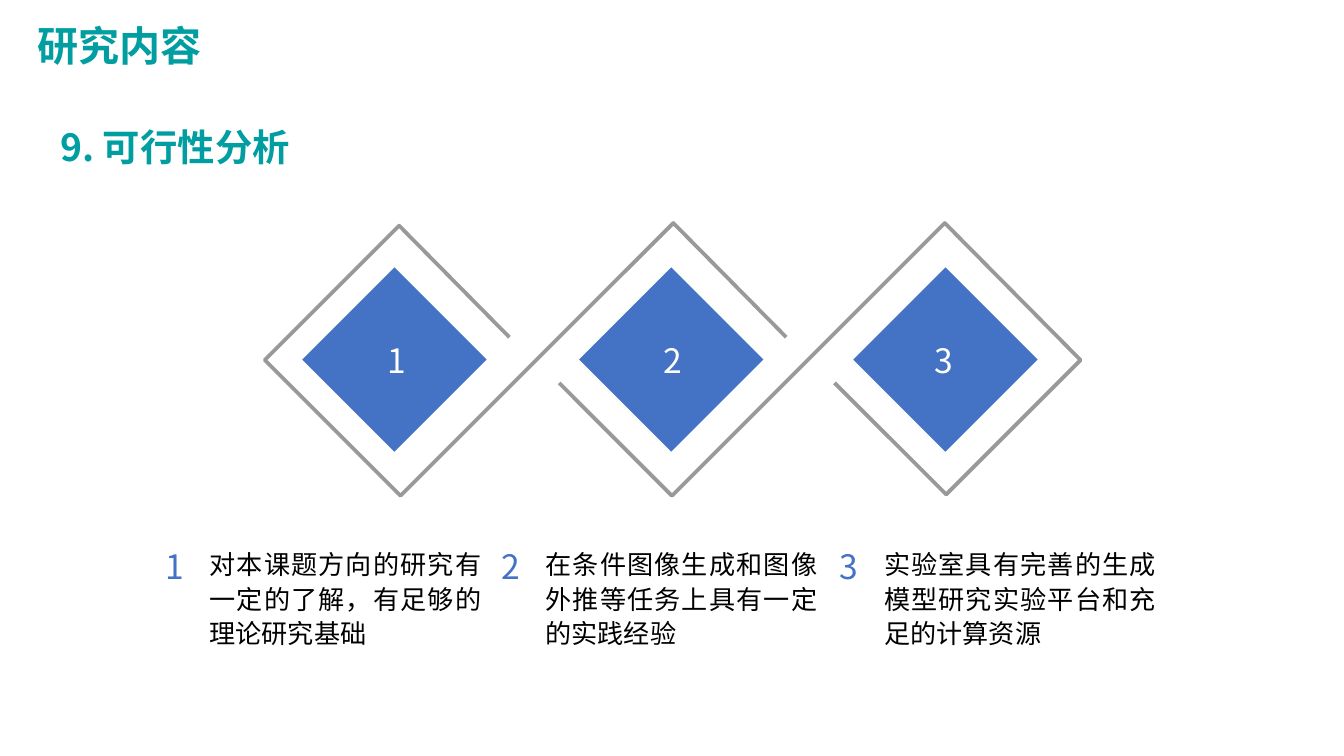
"""Build the feasibility analysis slide with three linked diamonds."""
import lxml.etree
import pptx
import pptx.dml.color
import pptx.enum.shapes
import pptx.enum.text
import pptx.oxml.ns
import pptx.util

Inches = pptx.util.Inches
Align = pptx.enum.text.PP_ALIGN
COLORS = {"teal": "009EA1", "blue": "4472C4", "gray": "999999", "white": "FFFFFF", "black": "000000"}
CJK_FONT = "Noto Sans CJK SC"

deck = pptx.Presentation()
deck.slide_width = Inches(10)
deck.slide_height = Inches(10 * 9 / 16)
page = deck.slides.add_slide(deck.slide_layouts[6])


def rgb(name):
    return pptx.dml.color.RGBColor.from_string(COLORS[name])


def add_text(text, *, left, top, width, height, size, color, font=CJK_FONT,
             bold=False, align=Align.LEFT, spacing=None, after=None, wrap=True):
    box = page.shapes.add_textbox(Inches(left), Inches(top), Inches(width), Inches(height))
    box.text_frame.word_wrap = wrap
    para = box.text_frame.paragraphs[0]
    para.alignment = align
    para.line_spacing = spacing
    para.space_after = after
    span = para.add_run()
    span.text = text
    span.font.size = pptx.util.Pt(size)
    span.font.bold = bold
    span.font.color.rgb = rgb(color)
    span.font.name = font
    east_asian = lxml.etree.SubElement(span.font._element, pptx.oxml.ns.qn("a:ea"))
    east_asian.set("typeface", CJK_FONT)


add_text("研究内容", left=0.18, top=0.1, width=1.42, height=0.47, size=22,
         color="teal", bold=True, wrap=False)
add_text("9. 可行性分析", left=0.35, top=0.71, width=9.25, height=0.6, size=20, color="teal",
         bold=True, align=Align.JUSTIFY, spacing=1.5, after=pptx.util.Pt(12))

ribbons = [
    [(5.85, 2.51), (5.01, 1.66), (2.98, 3.69), (1.97, 2.68), (2.97, 1.68), (3.79, 2.51)],
    [(4.16, 2.85), (5, 3.69), (7.03, 1.66), (8.04, 2.68), (7.04, 3.68), (6.21, 2.85)],
]
for points in ribbons:
    corners = [(Inches(x), Inches(y)) for x, y in points]
    builder = page.shapes.build_freeform(*corners[0])
    builder.add_line_segments(corners[1:], close=False)
    ribbon = builder.convert_to_shape()
    ribbon.shadow.inherit = False
    ribbon.fill.background()
    ribbon.line.color.rgb = rgb("gray")
    ribbon.line.width = pptx.util.Pt(2)
    outline = ribbon.line._get_or_add_ln()
    lxml.etree.SubElement(outline, pptx.oxml.ns.qn("a:round"))

items = [
    (2.45, 2.28, 1.13, "对本课题方向的研究有一定的了解，有足够的理论研究基础"),
    (4.51, 4.33, 3.63, "在条件图像生成和图像外推等任务上具有一定的实践经验"),
    (6.55, 6.35, 6.15, "实验室具有完善的生成模型研究实验平台和充足的计算资源"),
]
for number, (diamond_left, label_left, note_left, note) in enumerate(items, start=1):
    diamond = page.shapes.add_shape(pptx.enum.shapes.MSO_SHAPE.RECTANGLE, Inches(diamond_left),
                                    Inches(2.19), Inches(0.97), Inches(0.97))
    diamond.rotation = 315
    diamond.shadow.inherit = False
    diamond.fill.solid()
    diamond.fill.fore_color.rgb = rgb("blue")
    diamond.line.fill.background()
    add_text(str(number), left=label_left, top=2.48, width=1.35, height=0.4, size=18,
             color="white", align=Align.CENTER)
    add_text(str(number), left=note_left, top=4.01, width=1.77, height=0.4, size=18, color="blue")
    add_text(note, left=note_left + 0.33, top=4.01, width=2.22, height=0.87, size=14,
             color="black", font="Calibri", align=Align.JUSTIFY, spacing=1.1)

deck.save("out.pptx")
